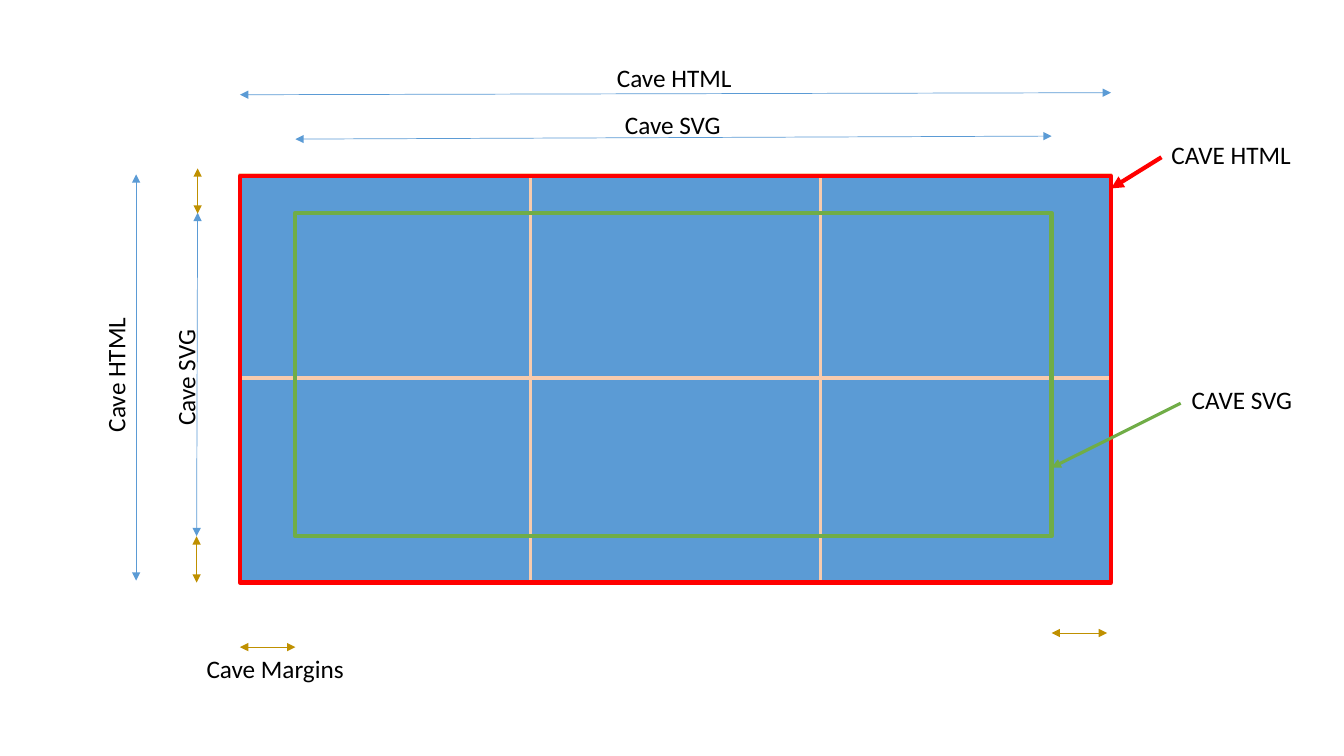
from pptx import Presentation
from pptx.dml.color import RGBColor
from pptx.enum.shapes import MSO_CONNECTOR, MSO_SHAPE
from pptx.enum.text import MSO_AUTO_SIZE
from pptx.oxml.ns import qn
from pptx.util import Inches, Pt
from lxml.etree import SubElement

COLORS = {
    "blue": "5B9BD5", "navy": "43739E", "peach": "F8CBAD", "green": "70AD47",
    "red": "FF0000", "gold": "BF9000", "black": "000000",
}


def add_rectangle(left, top, width, height, fill=None, line="navy", weight=1):
    box = page.shapes.add_shape(MSO_SHAPE.RECTANGLE, Inches(left), Inches(top),
                                Inches(width), Inches(height))
    box.shadow.inherit = False
    if fill:
        box.fill.solid()
        box.fill.fore_color.rgb = RGBColor.from_string(COLORS[fill])
    else:
        box.fill.background()
    box.line.color.rgb = RGBColor.from_string(COLORS[line])
    box.line.width = Pt(weight)


def add_label(text, left, top, width, rotation=0, wrap=False, size=18, color="black"):
    box = page.shapes.add_textbox(Inches(left), Inches(top), Inches(width), Inches(0.4))
    box.rotation = rotation
    frame = box.text_frame
    frame.word_wrap = wrap
    frame.auto_size = MSO_AUTO_SIZE.SHAPE_TO_FIT_TEXT
    span = frame.paragraphs[0].add_run()
    span.text = text
    span.font.name = "Calibri"
    span.font.size = Pt(size)
    span.font.color.rgb = RGBColor.from_string(COLORS[color])


deck = Presentation()
deck.slide_width, deck.slide_height = Inches(13.33), Inches(7.5)
page = deck.slides.add_slide(deck.slide_layouts[6])

# Wall of screens: three columns by two rows
wall_left, wall_top = 2.38, 1.73
screen_width, screen_height = 2.88, 2.02
add_rectangle(wall_left, wall_top, 8.43, 4.03, fill="blue")
for row in range(2):
    for column in range(3):
        add_rectangle(wall_left + column * screen_width, wall_top + row * screen_height,
                      screen_width, screen_height, fill="blue", line="peach", weight=2.25)

# SVG and HTML frames
svg_left, svg_top, svg_right, svg_bottom = 2.93, 2.11, 10.43, 5.32
wall_right = wall_left + 3 * screen_width
add_rectangle(svg_left, svg_top, svg_right - svg_left, svg_bottom - svg_top,
              line="green", weight=3)
add_rectangle(wall_left, 1.75, wall_right - wall_left, 4.03, line="red", weight=3)

# Arrows: start, end, colour, weight, both ends
arrows = [
    # HTML and SVG dimensions
    ((1.35, wall_top), (1.35, 5.76), "blue", 0.5, True),
    ((wall_left, 0.94), (wall_right, 0.92), "blue", 0.5, True),
    ((svg_left, 1.38), (svg_right, 1.35), "blue", 0.5, True),
    ((1.96, svg_top), (1.95, svg_bottom), "blue", 0.5, True),
    # Margins
    ((wall_left, 6.42), (svg_left, 6.42), "gold", 0.5, True),
    ((svg_right, 6.28), (10.98, 6.28), "gold", 0.5, True),
    ((1.96, 1.67), (1.96, 2.12), "gold", 0.5, True),
    ((1.95, svg_bottom), (1.95, 5.78), "gold", 0.5, True),
    # Pointers to the frames
    ((11.52, 1.56), (wall_right, 1.87), "red", 3, False),
    ((11.71, 4), (svg_right, 4.64), "green", 2.25, False),
]
for start, end, color, weight, both_ends in arrows:
    arrow = page.shapes.add_connector(MSO_CONNECTOR.STRAIGHT,
                                      *[Inches(value) for value in start + end])
    arrow.line.color.rgb = RGBColor.from_string(COLORS[color])
    arrow.line.width = Pt(weight)
    for tag in ["a:headEnd", "a:tailEnd"] if both_ends else ["a:tailEnd"]:
        SubElement(arrow.line._get_or_add_ln(), qn(tag), type="triangle")
    SubElement(arrow._element.spPr, qn("a:effectLst"))

# Labels
add_label("Cave HTML", 0.47, 3.51, 1.35, rotation=270)
add_label("Cave SVG", 1.26, 3.54, 1.16, rotation=270)
add_label("Cave HTML", 6.02, 0.57, 1.35)
add_label("Cave SVG", 6.1, 1.04, 1.16)
add_label("Cave Margins", 1.95, 6.43, 1.58)
add_label("CAVE SVG", 11.72, 3.76, 1.38, wrap=True)
add_label("CAVE HTML", 11.52, 1.33, 1.52, wrap=True)

deck.save("out.pptx")
